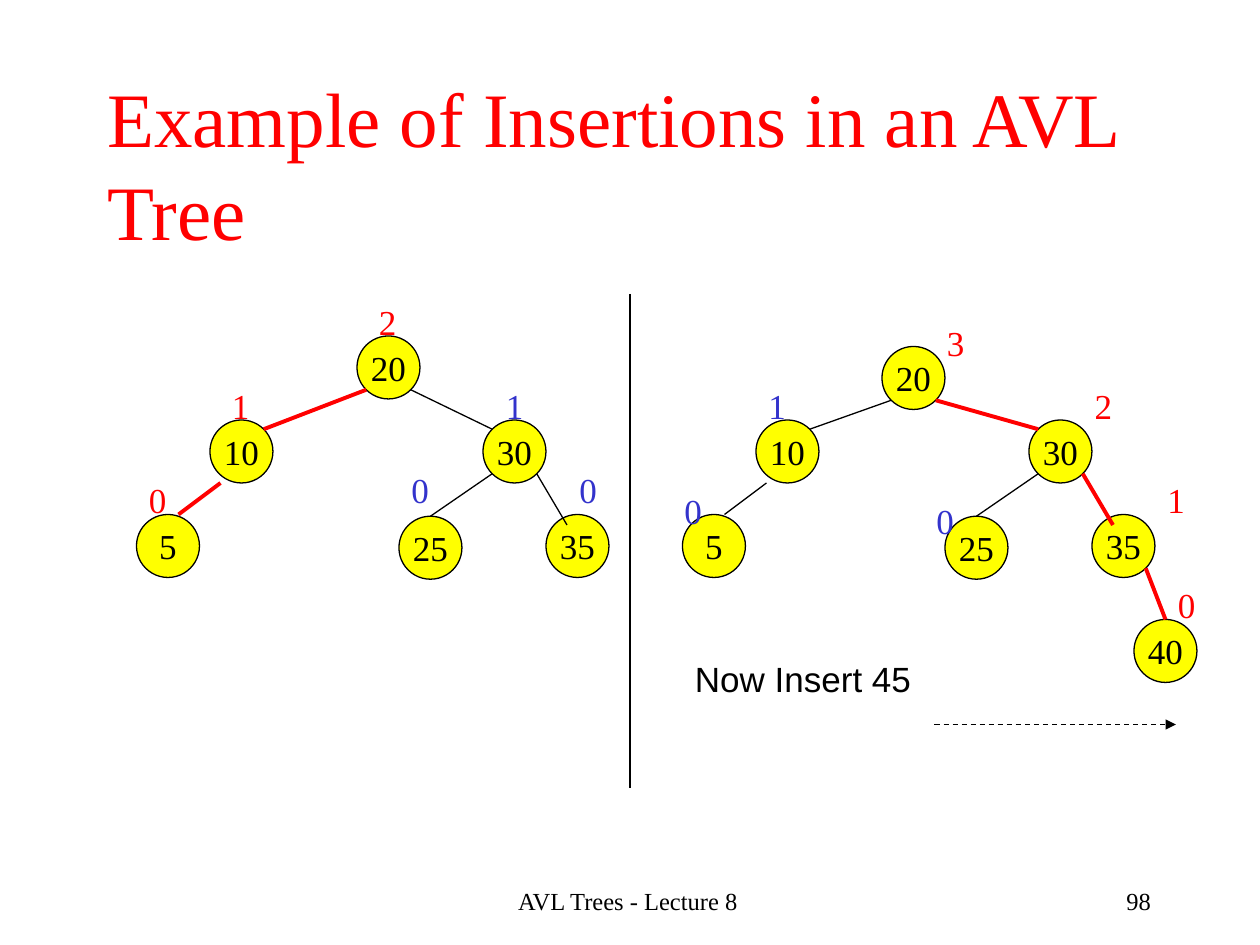
from math import sqrt

from lxml.etree import SubElement
from pptx import Presentation
from pptx.dml.color import RGBColor
from pptx.enum.dml import MSO_LINE
from pptx.enum.shapes import MSO_CONNECTOR, MSO_SHAPE
from pptx.enum.text import MSO_ANCHOR, MSO_AUTO_SIZE, PP_ALIGN
from pptx.oxml.ns import qn
from pptx.util import Pt

THEME = {
    "red": RGBColor(0xFF, 0, 0),
    "blue": RGBColor(0x33, 0x33, 0xCC),
    "black": RGBColor(0, 0, 0),
    "yellow": RGBColor(0xFF, 0xFF, 0),
    "serif": "Times New Roman",
    "sans": "Arial",
    "title": 44,
    "body": 20,
    "footer": 14,
    "thin": 0.75,
    "thick": 2.25,
}

TITLE = ("Example of Insertions in an AVL Tree", (54, 36.7, 612, 113))
FOOTERS = [
    ("AVL Trees - Lecture 8", (244.8, 502.5, 228, 36), PP_ALIGN.CENTER),
    ("98", (514.8, 502.5, 150, 36), PP_ALIGN.RIGHT),
]
NEXT_STEP = ("Now Insert 45", (390, 372, 138.2, 31.7))
DIVIDER = ((360, 168), (360, 450))
NEXT_ARROW = ((534, 414), (672, 414))

# Nodes: key, left, top, height, height colour, height left, height top
# Edges: parent, parent port, child, child port, whether on the changed path
TREES = [
    {
        "nodes": [
            (20, 204, 192, 2, "red", 209.5, 168),
            (10, 120, 240, 1, "red", 125.5, 216),
            (30, 276, 240, 1, "blue", 282, 216),
            (25, 228, 295, 0, "blue", 228, 264),
            (35, 312, 294, 0, "blue", 324, 264),
            (5, 78, 294, 0, "red", 78, 270),
        ],
        "edges": [
            (20, "lower left", 10, "upper right", True),
            (20, "lower right", 30, "upper left", False),
            (30, "lower left", 25, "top", False),
            (30, "lower right", 35, "inner left", False),
            (10, "below left", 5, "top right", True),
        ],
    },
    {
        "nodes": [
            (20, 504, 198, 3, "red", 534, 180),
            (10, 432, 240, 1, "blue", 432, 216),
            (30, 588, 240, 2, "red", 618.5, 216),
            (25, 540, 295, 0, "blue", 528, 282),
            (35, 624, 294, 1, "red", 660, 270),
            (5, 390, 294, 0, "blue", 384, 276),
            (40, 648, 354, 0, "red", 666, 330),
        ],
        "edges": [
            (20, "lower left", 10, "upper right", False),
            (20, "lower right", 30, "upper left", True),
            (30, "lower left", 25, "top", False),
            (30, "lower right", 35, "inner left", True),
            (10, "below left", 5, "top right", False),
            (35, "lower right", 40, "top", True),
        ],
    },
]

DIAMETER = 36
RADIUS = DIAMETER / 2
DIAGONAL = RADIUS / sqrt(2)
PORTS = {  # offsets from a node's centre
    "top": (0, -RADIUS),
    "upper left": (-DIAGONAL, -DIAGONAL),
    "upper right": (DIAGONAL, -DIAGONAL),
    "lower left": (-DIAGONAL, DIAGONAL),
    "lower right": (DIAGONAL, DIAGONAL),
    "inner left": (-6, -12),
    "below left": (-12, RADIUS),
    "top right": (6, -RADIUS),
}
LABEL_SIZE = (24.5, 31.7)


def points(values):
    return [Pt(value) for value in values]


def write(shape, text, size, color="black", font="serif", align=PP_ALIGN.LEFT,
          anchor=MSO_ANCHOR.TOP, wrap=False):
    frame = shape.text_frame
    frame_format = {"word_wrap": wrap, "auto_size": MSO_AUTO_SIZE.NONE,
                    "vertical_anchor": anchor}
    for name, value in frame_format.items():
        setattr(frame, name, value)
    para = frame.paragraphs[0]
    para.alignment = align
    span = para.add_run()
    span.text = text
    for name, value in {"size": Pt(THEME[size]), "name": THEME[font]}.items():
        setattr(span.font, name, value)
    span.font.color.rgb = THEME[color]


def add_text(page, text, place, size, **text_format):
    write(page.shapes.add_textbox(*points(place)), text, size, **text_format)


def add_line(page, start, end, color="black", width="thin"):
    line = page.shapes.add_connector(MSO_CONNECTOR.STRAIGHT, *points(start + end))
    line.line.color.rgb = THEME[color]
    line.line.width = Pt(THEME[width])
    SubElement(line._element.spPr, qn("a:effectLst"))
    return line


def add_node(page, key, left, top):
    node = page.shapes.add_shape(
        MSO_SHAPE.OVAL, *points((left, top, DIAMETER, DIAMETER)))
    node.shadow.inherit = False
    node.fill.solid()
    node.fill.fore_color.rgb = THEME["yellow"]
    node.line.color.rgb = THEME["black"]
    node.line.width = Pt(THEME["thin"])
    write(node, str(key), "body", align=PP_ALIGN.CENTER, anchor=MSO_ANCHOR.MIDDLE)
    return node


def port_position(corner, port):
    return tuple(round(edge + RADIUS + offset, 2)
                 for edge, offset in zip(corner, PORTS[port]))


def add_tree(page, tree):
    nodes, corners = {}, {}
    for key, left, top, *_ in tree["nodes"]:
        nodes[key] = add_node(page, key, left, top)
        corners[key] = (left, top)
    for parent, parent_port, child, child_port, changed in tree["edges"]:
        line = add_line(page, port_position(corners[parent], parent_port),
                        port_position(corners[child], child_port),
                        *(("red", "thick") if changed else ()))
        if child_port == "top":
            line.end_connect(nodes[child], 0)
    for *_, height, color, left, top in tree["nodes"]:
        add_text(page, str(height), (left, top, *LABEL_SIZE), "body", color=color)


def main():
    deck = Presentation()
    deck.slide_width, deck.slide_height = Pt(720), Pt(540)
    page = deck.slides.add_slide(deck.slide_layouts[5])

    text, place = TITLE
    title = page.shapes.title
    for name, value in zip(("left", "top", "width", "height"), points(place)):
        setattr(title, name, value)
    write(title, text, "title", color="red", anchor=MSO_ANCHOR.MIDDLE, wrap=True)

    for text, place, align in FOOTERS:
        add_text(page, text, place, "footer", align=align, wrap=True)
    for tree in TREES:
        add_tree(page, tree)
    add_text(page, *NEXT_STEP, "body", font="sans")
    add_line(page, *DIVIDER)
    arrow = add_line(page, *NEXT_ARROW)
    arrow.line.dash_style = MSO_LINE.DASH
    SubElement(arrow.line._get_or_add_ln(), qn("a:tailEnd"), type="triangle")

    deck.save("out.pptx")


if __name__ == "__main__":
    main()
